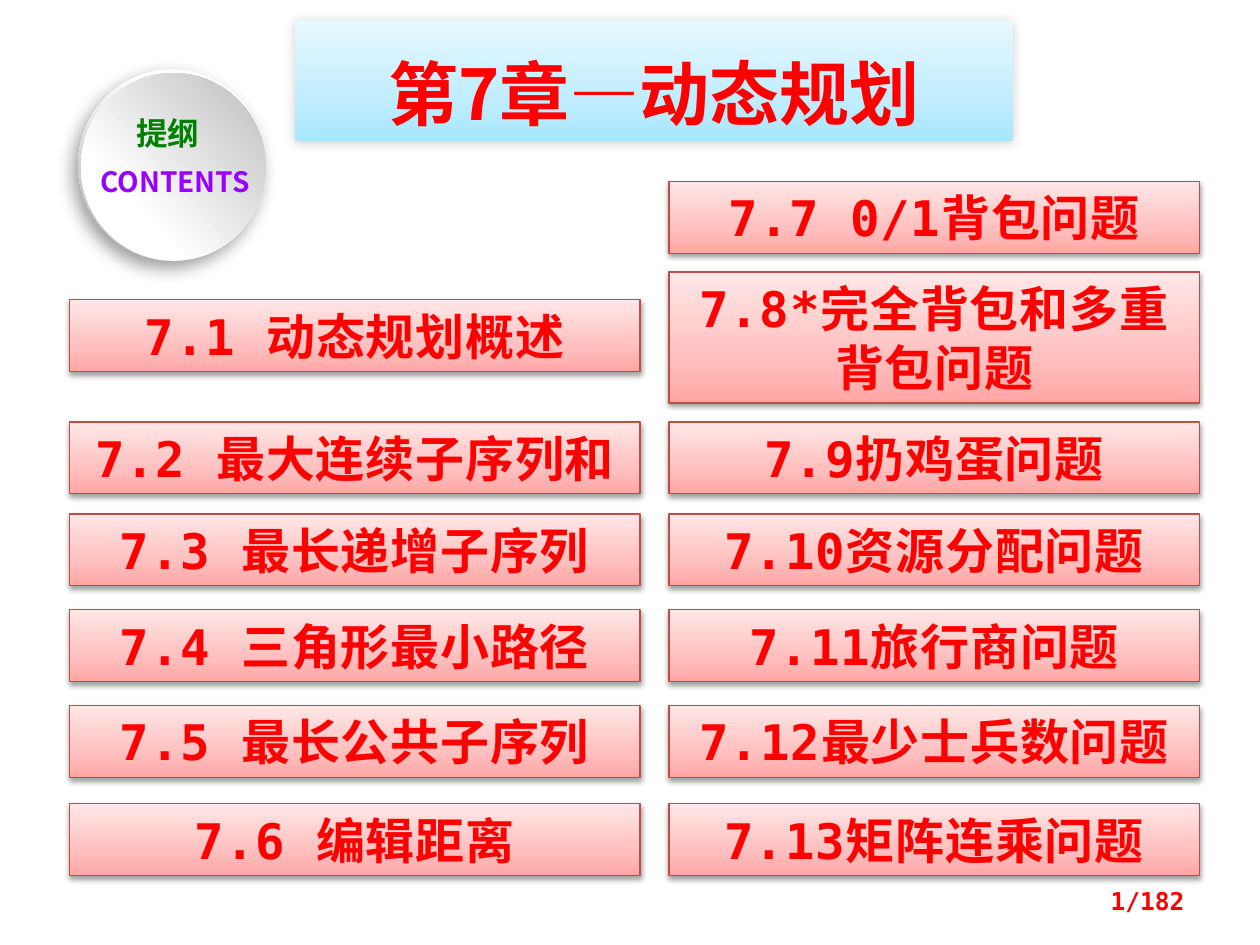
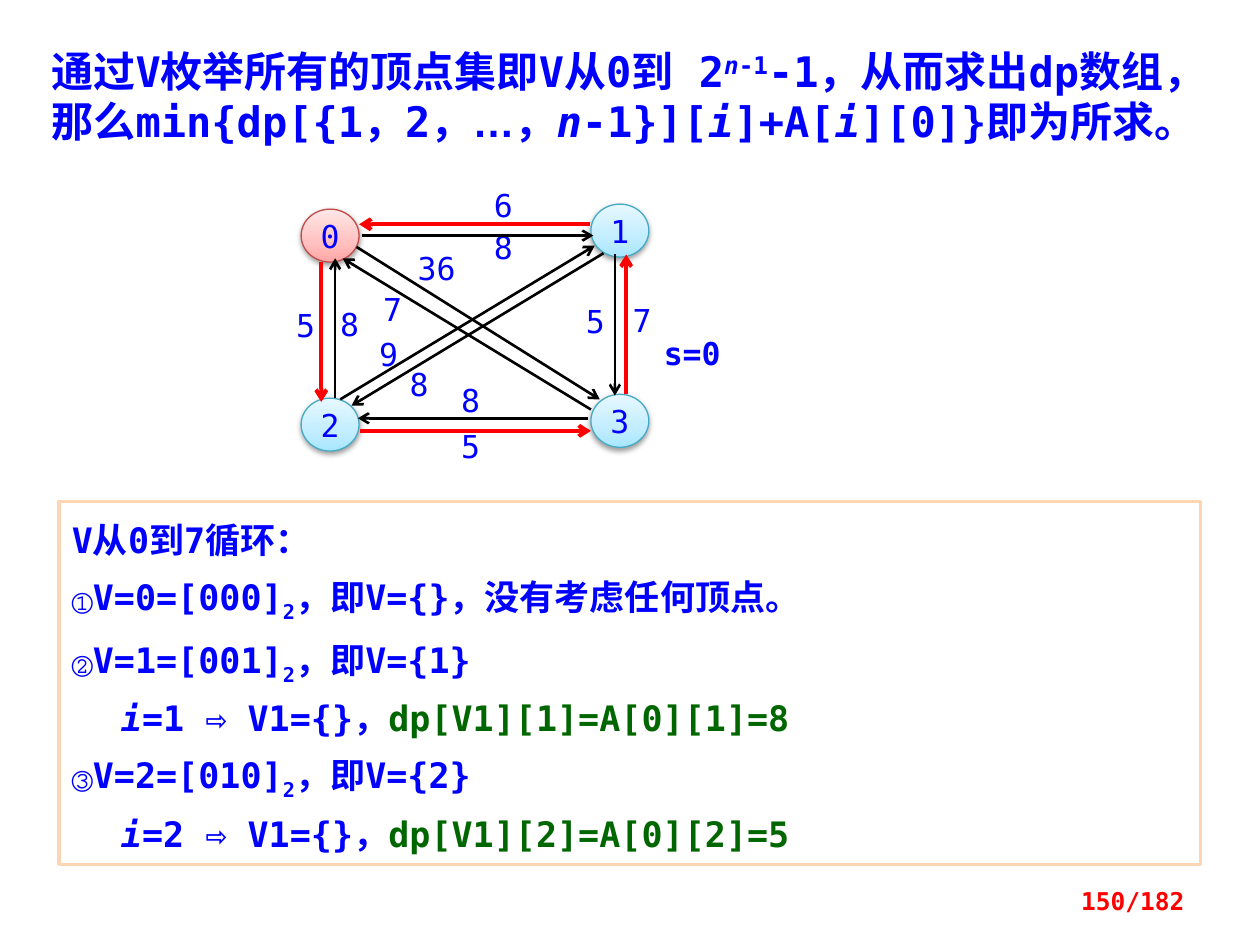
"""Build the outline slide and the travelling-salesman slide of a dynamic programming course."""
from lxml import etree
from pptx import Presentation
from pptx import util as u
from pptx.dml.color import RGBColor
from pptx.enum import shapes, text
from pptx.oxml import ns

PX = 9144
MONO, SANS = "DejaVu Sans Mono", "Noto Sans CJK SC"
RED, BLUE, GREEN, BLACK, WHITE = "FF0000", "0000FF", "006600", "000000", "FFFFFF"
PINK_FADE = (270, [(0, "FFA6A5"), (35, "FFC0BF"), (100, "FFE7E7")])
SKY_FADE = (270, [(0, "A7E6FF"), (35, "C1EDFF"), (100, "E7F8FF")])
PINK_EDGE, SKY_EDGE = ("BF4C48", 0.75), ("46AAC5", 0.75)
SOFT_SHADOW = (38, 3.1, 1.6, 90)
LEFT, CENTER, RIGHT = text.PP_ALIGN.LEFT, text.PP_ALIGN.CENTER, text.PP_ALIGN.RIGHT
TOP, MIDDLE = text.MSO_ANCHOR.TOP, text.MSO_ANCHOR.MIDDLE
hue = RGBColor.from_string


def paint(shape, fill, line=None, shadow=None):
    """Give a shape a plain or graded fill, an outline and a shadow."""
    if isinstance(fill, str):
        shape.fill.solid()
        shape.fill.fore_color.rgb = hue(fill)
    else:
        angle, stops = fill
        shape.fill.gradient()
        shape.fill.gradient_angle = 360 - angle
        stop_list = shape._element.spPr.find(".//" + ns.qn("a:gsLst"))
        for old_stop in list(stop_list):
            stop_list.remove(old_stop)
        for position, color in stops:
            stop = etree.SubElement(stop_list, ns.qn("a:gs"), pos=str(position * 1000))
            etree.SubElement(stop, ns.qn("a:srgbClr"), val=color)
    if line:
        shape.line.color.rgb = hue(line[0])
        shape.line.width = u.Pt(line[1])
    else:
        shape.line.fill.background()
    shape.shadow.inherit = False
    if shadow:
        alpha, blur, distance, direction = shadow
        effects = shape._element.spPr.find(ns.qn("a:effectLst"))
        outer = etree.SubElement(
            effects, ns.qn("a:outerShdw"), blurRad=str(u.Pt(blur)), dist=str(u.Pt(distance)),
            dir=str(direction * 60000), algn="ctr", rotWithShape="0")
        tint = etree.SubElement(outer, ns.qn("a:srgbClr"), val=BLACK)
        etree.SubElement(tint, ns.qn("a:alpha"), val=str(alpha * 1000))


def write(shape, paragraphs, size, color, font=MONO, bold=False, align=LEFT, anchor=TOP,
          insets=(10, 5, 10, 5), wrap=True, tracking=0, pitch=None):
    """Fill a shape with paragraphs, each a string or (runs, indent, space before)."""
    frame = shape.text_frame
    frame.auto_size = text.MSO_AUTO_SIZE.NONE
    frame.word_wrap = wrap
    frame.vertical_anchor = anchor
    frame.margin_left, frame.margin_top, frame.margin_right, frame.margin_bottom = [
        inset * PX for inset in insets]
    for index, content in enumerate(paragraphs):
        runs, indent, before = ([(content, {})], 0, 0) if isinstance(content, str) else content
        paragraph = frame.paragraphs[0] if index == 0 else frame.add_paragraph()
        paragraph.alignment = align
        paragraph.space_before = u.Pt(before)
        if pitch:
            paragraph.line_spacing = u.Pt(pitch)
        properties = paragraph._p.get_or_add_pPr()
        properties.set("marL", str(indent * PX))
        properties.set("indent", "0")
        etree.SubElement(properties, ns.qn("a:buNone"))
        for words, change in runs:
            run = paragraph.add_run()
            run.text = words
            run.font.size = u.Pt(size)
            run.font.bold = bold
            run.font.italic = change.get("italic", False)
            run.font.color.rgb = hue(change.get("color", color))
            face = change.get("font", font)
            run.font.name = face
            marks = run._r.get_or_add_rPr()
            etree.SubElement(marks, ns.qn("a:ea"), typeface=face)
            if tracking:
                marks.set("spc", str(tracking))
            if "baseline" in change:
                marks.set("baseline", str(change["baseline"] * 1000))


deck = Presentation()
deck.slide_width, deck.slide_height = 1000 * PX, 750 * PX
outline = deck.slides.add_slide(deck.slide_layouts[5])
example = deck.slides.add_slide(deck.slide_layouts[1])

chapter = outline.shapes.title
chapter.left, chapter.top, chapter.width, chapter.height = [n * PX for n in (234, 16, 570, 96)]
paint(chapter, SKY_FADE, shadow=(20, 6, 1, 135))
write(chapter, ["第7章—动态规划"], 40, RED, SANS, bold=True, align=CENTER, insets=(10, 24, 10, 5))

shared_rows = [335, 408, 484, 560, 638]
columns = [
    (531, 421, [144, 216] + shared_rows,
     ["7.7 0/1背包问题", "7.8*完全背包和多重背包问题", "7.9扔鸡蛋问题", "7.10资源分配问题",
      "7.11旅行商问题", "7.12最少士兵数问题", "7.13矩阵连乘问题"]),
    (55, 453, [238] + shared_rows,
     ["7.1 动态规划概述", "7.2 最大连续子序列和", "7.3 最长递增子序列",
      "7.4 三角形最小路径", "7.5 最长公共子序列", "7.6 编辑距离"]),
]
for left, width, tops, sections in columns:
    for top, section in zip(tops, sections):
        height = 104 if section.startswith("7.8") else 57
        entry = outline.shapes.add_shape(
            shapes.MSO_SHAPE.RECTANGLE, left * PX, top * PX, width * PX, height * PX)
        paint(entry, PINK_FADE, PINK_EDGE, SOFT_SHADOW)
        write(entry, [section], 28, RED, bold=True, align=CENTER, tracking=50)

discs = [
    (62, 55, 149, 152, (107, [(17, WHITE), (88, "B8B8B8")]), (39, 10, 5, 123)),
    (64, 58, 147, 149, (318, [(29, WHITE), (98, "BFBFBF")]), None),
]
for left, top, width, height, fade, shadow in discs:
    disc = outline.shapes.add_shape(
        shapes.MSO_SHAPE.OVAL, left * PX, top * PX, width * PX, height * PX)
    paint(disc, fade, shadow=shadow)

for left, top, width, height, words, size, color in [
        (47, 126, 184, 37, "CONTENTS", 16, "9900FF"), (88, 86, 90, 40, "提纲", 18, "008000")]:
    caption = outline.shapes.add_textbox(left * PX, top * PX, width * PX, height * PX)
    write(caption, [words], size, color, SANS, bold=True, align=CENTER)

ITALIC = {"italic": True}
statement = example.shapes.title
statement.left, statement.top, statement.width, statement.height = [
    n * PX for n in (31, 31, 930, 91)]
write(statement, [([
    ("通过V枚举所有的顶点集即V从0到 2", {}), ("n", {"italic": True, "baseline": 30}),
    ("-1", {"baseline": 30}), ("-1，从而求出dp数组，那么min{dp[{1，2，", {}),
    ("…", {"font": "Arial"}), ("，", {}), ("n", ITALIC), ("-1}][", {}), ("i", ITALIC),
    ("]+A[", {}), ("i", ITALIC), ("][0]}即为所求。", {})], 0, 0)], 24, BLUE, bold=True)

steps = example.placeholders[1]
steps.left, steps.top, steps.width, steps.height = [n * PX for n in (47, 398, 906, 288)]
paint(steps, WHITE, ("FCD5B5", 2))
trace = ["V从0到7循环："]
for opening, closing, vertex, result in [
        ("①V=0=[000]", "，即V={}，没有考虑任何顶点。", None, None),
        ("②V=1=[001]", "，即V={1}", 1, 8),
        ("③V=2=[010]", "，即V={2}", 2, 5)]:
    trace.append(([(opening, {}), ("2", {"baseline": -25}), (closing, {})], 0, 6))
    if vertex:
        trace.append(([("i", ITALIC), (f"={vertex} ⇨ V1={{}}，", {}),
                       (f"dp[V1][{vertex}]=A[0][{vertex}]={result}", {"color": GREEN})], 39, 0))
write(steps, trace, 20, BLUE, bold=True, pitch=30)

weights = [
    (317, 290, "8"), (293, 266, "9"), (296, 230, "7"), (331, 198, "36"),
    (262, 242, "8"), (227, 243, "5"), (384, 181, "8"), (384, 148, "6"),
    (358, 339, "5"), (358, 302, "8"), (494, 239, "7"), (457, 240, "5"),
]
for left, top, weight in weights:
    label = example.shapes.add_shape(
        shapes.MSO_SHAPE.RECTANGLE, left * PX, top * PX, 31 * PX, 28 * PX)
    paint(label, WHITE)
    write(label, [weight], 18, BLUE, align=CENTER, insets=(0, 0, 0, 0), wrap=False)

for left, top, vertex in [(239, 166, "0"), (239, 316, "2"), (469, 162, "1"), (469, 313, "3")]:
    node = example.shapes.add_shape(
        shapes.MSO_SHAPE.OVAL, left * PX, top * PX, 46 * PX, 42 * PX)
    fade, edge = (PINK_FADE, PINK_EDGE) if vertex == "0" else (SKY_FADE, SKY_EDGE)
    paint(node, fade, edge, SOFT_SHADOW)
    write(node, [vertex], 18, BLUE, align=CENTER, anchor=MIDDLE, insets=(0, 0, 0, 0), wrap=False)

tour = [(468, 178, 285, 178), (286, 342, 469, 342), (255, 208, 255, 319), (497, 313, 497, 202)]
other_edges = [
    (287, 187, 471, 187), (467, 332, 284, 332), (266, 316, 266, 205), (488, 202, 488, 314),
    (283, 196, 476, 317), (469, 325, 272, 205), (270, 317, 472, 195), (479, 201, 279, 322),
]
for edges, color, weight in [(tour, RED, 2.25), (other_edges, BLACK, 1.5)]:
    for ends in edges:
        edge = example.shapes.add_connector(
            shapes.MSO_CONNECTOR.STRAIGHT, *[n * PX for n in ends])
        edge.line.color.rgb = hue(color)
        edge.line.width = u.Pt(weight)
        etree.SubElement(edge.line._get_or_add_ln(), ns.qn("a:tailEnd"), type="arrow")
        etree.SubElement(edge._element.spPr, ns.qn("a:effectLst"))

start = example.shapes.add_textbox(517 * PX, 260 * PX, 84 * PX, 40 * PX)
write(start, ["s=0"], 18, BLUE, bold=True)

for slide, number in [(outline, 1), (example, 150)]:
    page = slide.shapes.add_textbox(717 * PX, 695 * PX, 233 * PX, 40 * PX)
    write(page, [f"{number}/182"], 14, RED, bold=True, align=RIGHT, anchor=MIDDLE)

deck.save("out.pptx")
